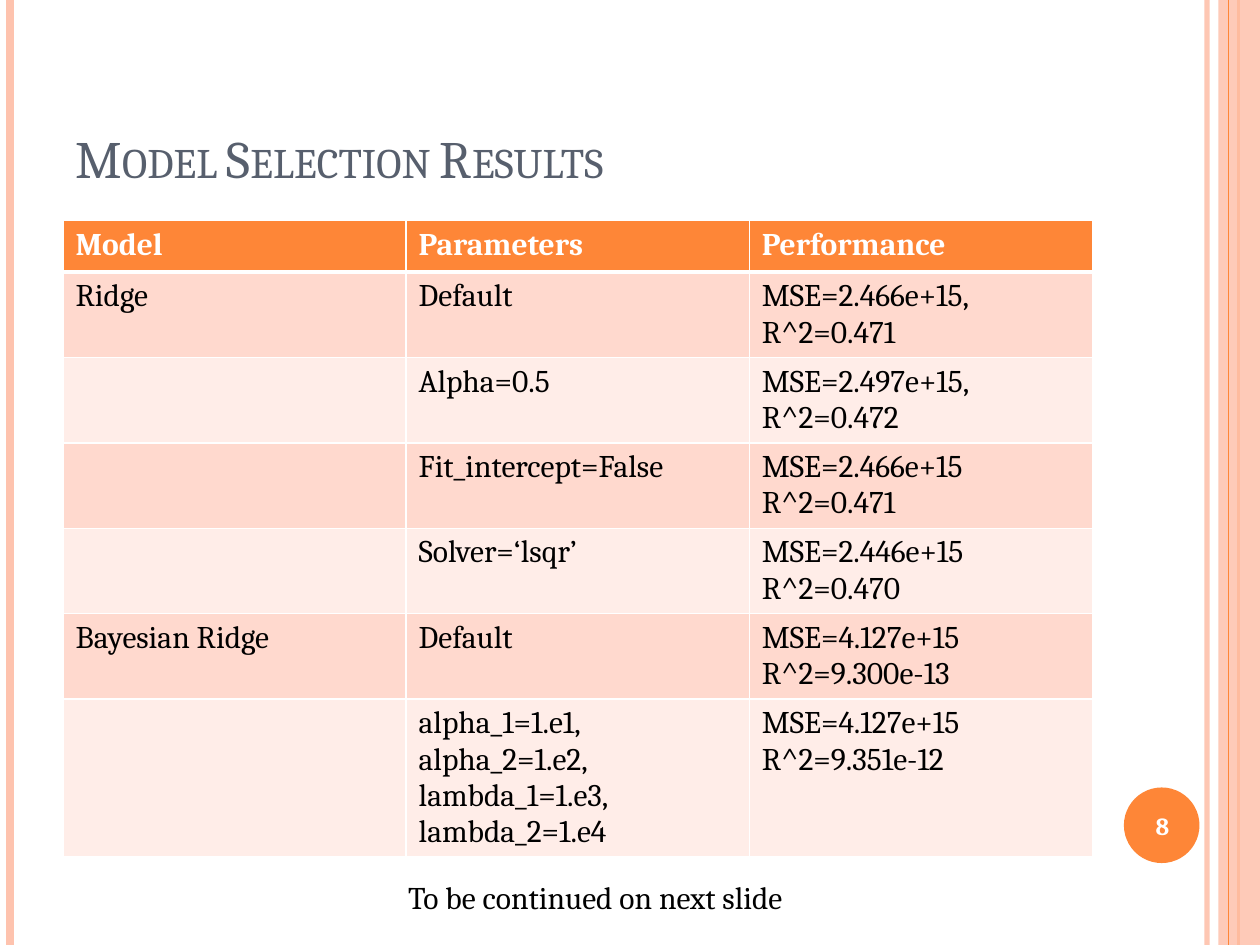
"""Build the model selection results slide."""
from dataclasses import dataclass

from lxml import etree
from pptx import Presentation
from pptx import util as u
from pptx.dml import color
from pptx.enum import shapes, text
from pptx.oxml import ns


@dataclass(frozen=True)
class Theme:
    font: str = "Cambria"
    accent: str = "FE8637"
    blush: str = "FEC3AE"
    slate: str = "575F6D"
    white: str = "FFFFFF"
    black: str = "000000"
    bands: tuple = ("FFD9CE", "FFEDE8")
    title_size: int = 30
    body_size: int = 18
    number_size: int = 14


@dataclass(frozen=True)
class Stripe:
    x: float
    color: str
    width: float
    opacity: int = 100


@dataclass(frozen=True)
class Result:
    model: str
    parameters: str
    performance: str


THEME = Theme()
STRIPES_BELOW = (
    Stripe(9.58, THEME.blush, 3, 93),
    Stripe(0.08, THEME.blush, 4.5),
    Stripe(9.83, THEME.accent, 1.5),
)
STRIPE_ABOVE = Stripe(9.75, THEME.accent, 0.75)
HEADER = Result("Model", "Parameters", "Performance")
RESULTS = (
    Result("Ridge", "Default ", "MSE=2.466e+15, R^2=0.471"),
    Result("", "Alpha=0.5", "MSE=2.497e+15, R^2=0.472"),
    Result("", "Fit_intercept=False", "MSE=2.466e+15\nR^2=0.471"),
    Result("", "Solver=‘lsqr’", "MSE=2.446e+15\nR^2=0.470"),
    Result("Bayesian Ridge", "Default", "MSE=4.127e+15\nR^2=9.300e-13"),
    Result("", "alpha_1=1.e1, alpha_2=1.e2, lambda_1=1.e3, lambda_2=1.e4",
           "MSE=4.127e+15\nR^2=9.351e-12"),
)


def rgb(value: str) -> color.RGBColor:
    return color.RGBColor.from_string(value)


def box(left: float, top: float, width: float, height: float) -> tuple:
    return tuple(u.Inches(n) for n in (left, top, width, height))


def write(frame, content: str, *, size: int = THEME.body_size, tint: str = THEME.black,
          bold: bool = False, align=text.PP_ALIGN.LEFT, anchor=text.MSO_ANCHOR.TOP,
          wrap: bool = True, small_caps: bool = False) -> None:
    frame.text = content
    frame.word_wrap = wrap
    frame.vertical_anchor = anchor
    for paragraph in frame.paragraphs:
        paragraph.alignment = align
        paragraph.font.size = u.Pt(size)
        for run in paragraph.runs:
            run.font.name = THEME.font
            run.font.size = u.Pt(size)
            run.font.bold = bold
            run.font.color.rgb = rgb(tint)
            if small_caps:
                run.font._element.set("cap", "small")


def set_opacity(fill, percent: int) -> None:
    if percent < 100:
        tone = fill._xPr.find(".//" + ns.qn("a:srgbClr"))
        etree.SubElement(tone, ns.qn("a:alpha"), val=str(percent * 1000))


def draw_stripe(slide, stripe: Stripe) -> None:
    line = slide.shapes.add_connector(
        shapes.MSO_CONNECTOR.STRAIGHT, u.Inches(stripe.x), u.Inches(0),
        u.Inches(stripe.x), u.Inches(7.5))
    line.line.color.rgb = rgb(stripe.color)
    line.line.width = u.Pt(stripe.width)
    set_opacity(line.line.fill, stripe.opacity)
    etree.SubElement(line._element.spPr, ns.qn("a:effectLst"))


def draw_shape(slide, kind, bounds: tuple, tint: str, opacity: int = 100) -> None:
    shape = slide.shapes.add_shape(kind, *bounds)
    shape.shadow.inherit = False
    shape.fill.solid()
    shape.fill.fore_color.rgb = rgb(tint)
    set_opacity(shape.fill, opacity)
    shape.line.fill.background()


def set_borders(cell, top: float, bottom: float) -> None:
    properties = cell._tc.get_or_add_tcPr()
    widths = {"lnL": 1, "lnR": 1, "lnT": top, "lnB": bottom}
    for index, (side, width) in enumerate(widths.items()):
        edge = etree.Element(ns.qn(f"a:{side}"), w=str(u.Pt(width)))
        solid = etree.SubElement(edge, ns.qn("a:solidFill"))
        etree.SubElement(solid, ns.qn("a:srgbClr"), val=THEME.white)
        properties.insert(index, edge)


def draw_results(slide) -> None:
    rows = (HEADER, *RESULTS)
    table = slide.shapes.add_table(
        len(rows), 3, *box(0.5, 1.75, 8.17, 0.41 * len(rows))).table
    for r, result in enumerate(rows):
        is_header = r == 0
        band = THEME.accent if is_header else THEME.bands[(r - 1) % 2]
        entries = (result.model, result.parameters, result.performance)
        for c, entry in enumerate(entries):
            cell = table.cell(r, c)
            write(cell.text_frame, entry, bold=is_header,
                  tint=THEME.white if is_header else THEME.black)
            cell.fill.solid()
            cell.fill.fore_color.rgb = rgb(band)
            set_borders(cell, top=3 if r == 1 else 1, bottom=3 if is_header else 1)


def draw_label(slide, content: str, bounds: tuple, **style) -> None:
    label = slide.shapes.add_textbox(*bounds)
    write(label.text_frame, content, align=text.PP_ALIGN.CENTER, **style)


def main() -> None:
    deck = Presentation()
    deck.slide_width, deck.slide_height = u.Inches(10), u.Inches(7.5)
    slide = deck.slides.add_slide(deck.slide_layouts[5])
    for stripe in STRIPES_BELOW:
        draw_stripe(slide, stripe)
    draw_shape(slide, shapes.MSO_SHAPE.RECTANGLE, box(9.67, 0, 0.33, 7.5), THEME.blush, 87)
    draw_stripe(slide, STRIPE_ABOVE)
    draw_shape(slide, shapes.MSO_SHAPE.OVAL, box(8.92, 6.25, 0.6, 0.6), THEME.accent)

    title = slide.shapes.title
    title.left, title.top, title.width, title.height = box(0.5, 0.3, 8.17, 1.25)
    write(title.text_frame, "Model Selection Results", size=THEME.title_size,
          tint=THEME.slate, anchor=text.MSO_ANCHOR.BOTTOM, small_caps=True)
    draw_results(slide)
    draw_label(slide, "8", box(8.89, 6.27, 0.67, 0.57), size=THEME.number_size,
               tint=THEME.white, bold=True, anchor=text.MSO_ANCHOR.MIDDLE)
    draw_label(slide, "To be continued on next slide", box(2.92, 6.92, 3.61, 0.4), wrap=False)
    deck.save("out.pptx")


main()
